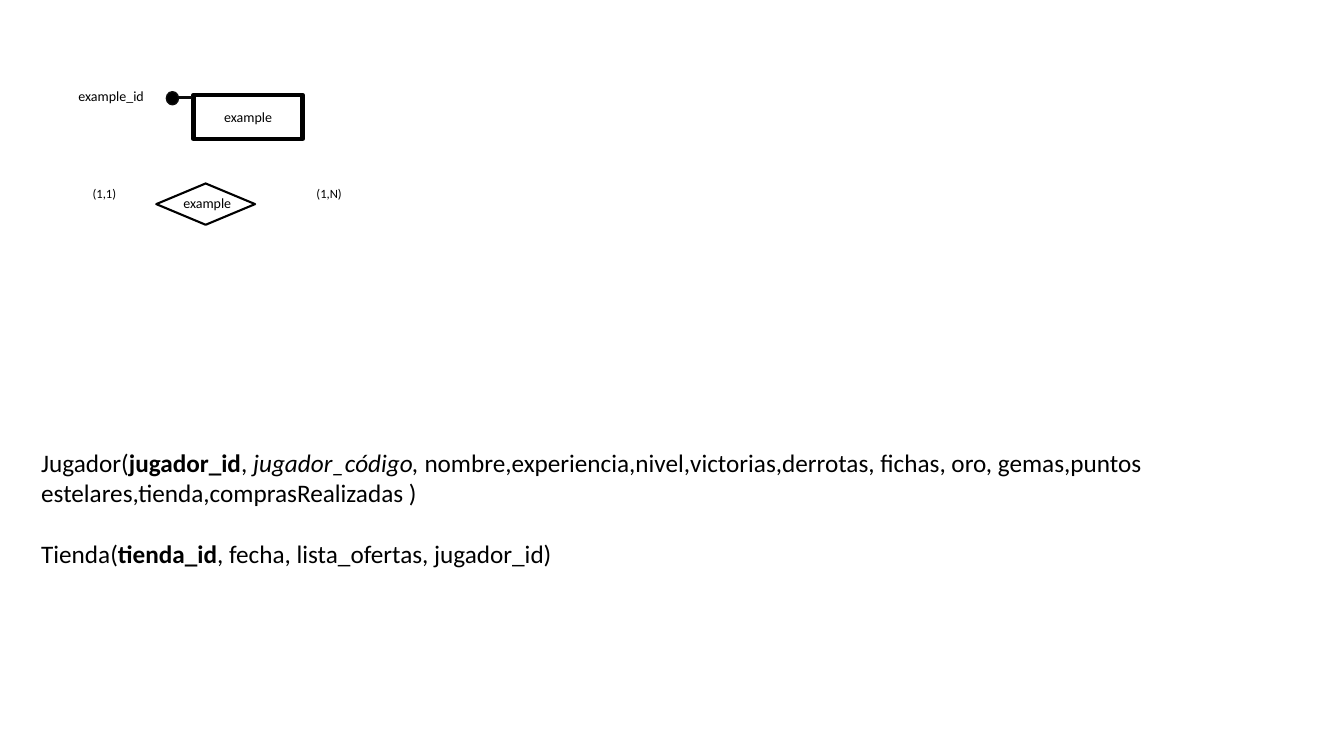
from lxml.etree import SubElement
from pptx import Presentation
from pptx.dml.color import RGBColor
from pptx.enum.shapes import MSO_CONNECTOR, MSO_SHAPE
from pptx.enum.text import MSO_ANCHOR, PP_ALIGN
from pptx.oxml.ns import qn
from pptx.util import Inches, Pt

BLACK, NEAR_BLACK, WHITE = "000000", "0D0D0D", "FFFFFF"


def rgb(color):
    return RGBColor.from_string(color)


def set_line(line, color, width):
    line.color.rgb = rgb(color)
    line.width = Pt(width)


def add_run(p, text, size, **formats):
    r = p.add_run()
    r.text = text
    r.font.color.rgb = rgb(BLACK)
    for name, value in {"name": "Calibri", "size": Pt(size), **formats}.items():
        setattr(r.font, name, value)


def add_node(parent, kind, box, width, fill=None, line=BLACK):
    sp = parent.shapes.add_shape(kind, *map(Inches, box))
    sp.shadow.inherit = False
    set_line(sp.line, line, width)
    if fill:
        sp.fill.solid()
        sp.fill.fore_color.rgb = rgb(fill)
    else:
        sp.fill.background()
    return sp


def add_text(parent, box, paragraphs, size, wrap=True, gap=0):
    tf = parent.shapes.add_textbox(*map(Inches, box)).text_frame
    tf.word_wrap = wrap
    for i, runs in enumerate(paragraphs):
        p = tf.add_paragraph() if i else tf.paragraphs[0]
        p.space_before = Pt(gap if i else 0)
        for text, formats in runs:
            add_run(p, text, size, **formats)


def add_label(parent, box, text, size, wrap=False):
    add_text(parent, box, [[(text, {})]], size, wrap)


def add_link(parent, start, end, color, width):
    cn = parent.shapes.add_connector(
        MSO_CONNECTOR.STRAIGHT, *map(Inches, (*start, *end)))
    set_line(cn.line, color, width)
    SubElement(cn._element.spPr, qn("a:effectLst"))


def add_entity(s):
    group = s.shapes.add_group_shape()
    sp = add_node(group, MSO_SHAPE.RECTANGLE, (1.92, 0.94, 1.08, 0.44), 3, WHITE)
    tf = sp.text_frame
    tf.vertical_anchor = MSO_ANCHOR.MIDDLE
    p = tf.paragraphs[0]
    p.alignment = PP_ALIGN.CENTER
    add_run(p, "example", 10)
    add_link(group, (1.9, 0.97), (1.77, 0.97), NEAR_BLACK, 2.25)
    add_node(group, MSO_SHAPE.OVAL, (1.65, 0.91, 0.12, 0.13), 1, BLACK, NEAR_BLACK)
    add_label(group, (0.68, 0.82, 0.98, 0.27), "example_id", 10, wrap=True)


def add_relationship(s):
    group = s.shapes.add_group_shape()
    add_node(group, MSO_SHAPE.FLOWCHART_DECISION, (1.55, 1.82, 0.98, 0.41), 1.5)
    add_label(group, (1.72, 1.88, 0.69, 0.27), "example", 10)
    add_label(group, (0.82, 1.79, 0.44, 0.25), "(1,1)", 9)
    add_label(group, (3.04, 1.79, 0.45, 0.25), "(1,N)", 9)


def add_schema(s):
    bold, italic = {"bold": True}, {"italic": True}
    add_text(s, (0.31, 4.39, 12.71, 1.31), [
        [("Jugador(", {}), ("jugador_id", bold), (", ", {}),
         ("jugador_código, ", italic),
         ("nombre,experiencia,nivel,victorias,derrotas, fichas, oro, "
          "gemas,puntos estelares,tienda,comprasRealizadas )", {})],
        [("Tienda(", {}), ("tienda_id", bold),
         (", fecha, lista_ofertas, jugador_id)", {})],
    ], 18, gap=21.6)


def main():
    prs = Presentation()
    prs.slide_width, prs.slide_height = Inches(13.33), Inches(7.5)
    s = prs.slides.add_slide(prs.slide_layouts[6])
    add_entity(s)
    add_relationship(s)
    add_schema(s)
    prs.save("out.pptx")


main()
